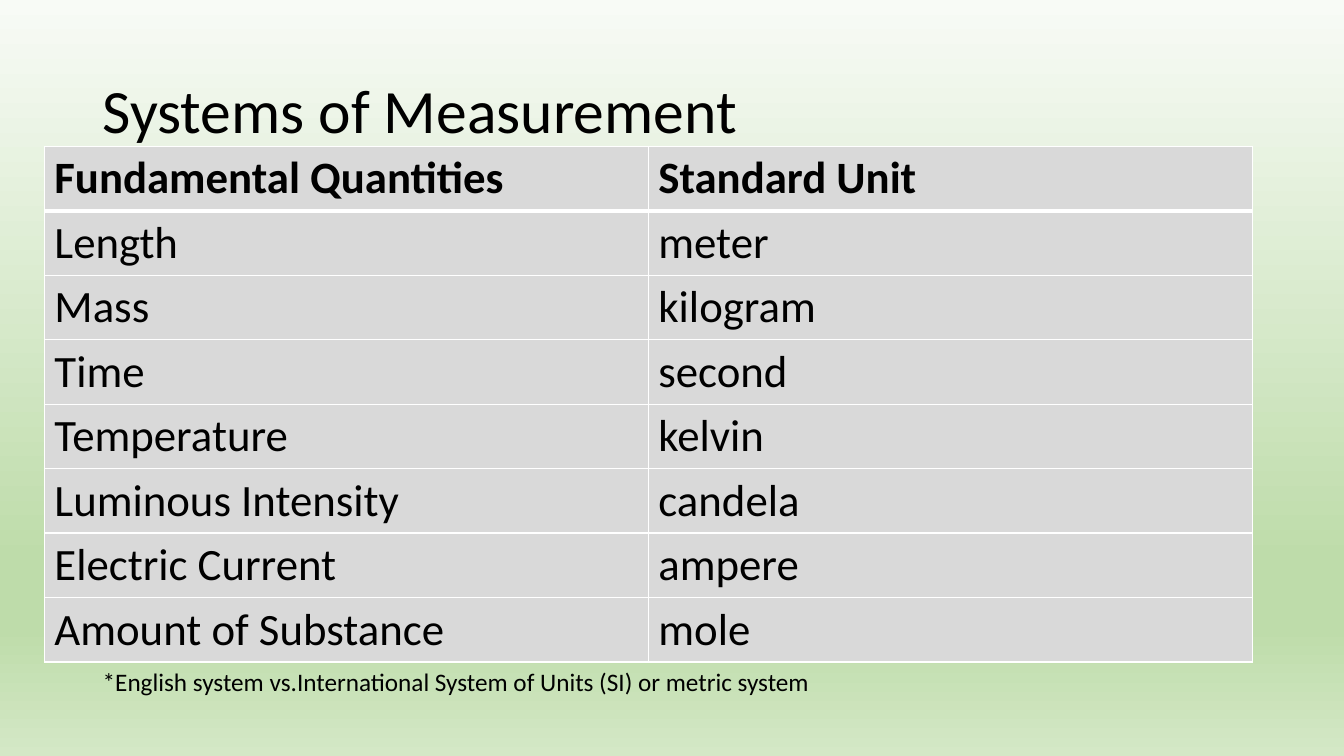
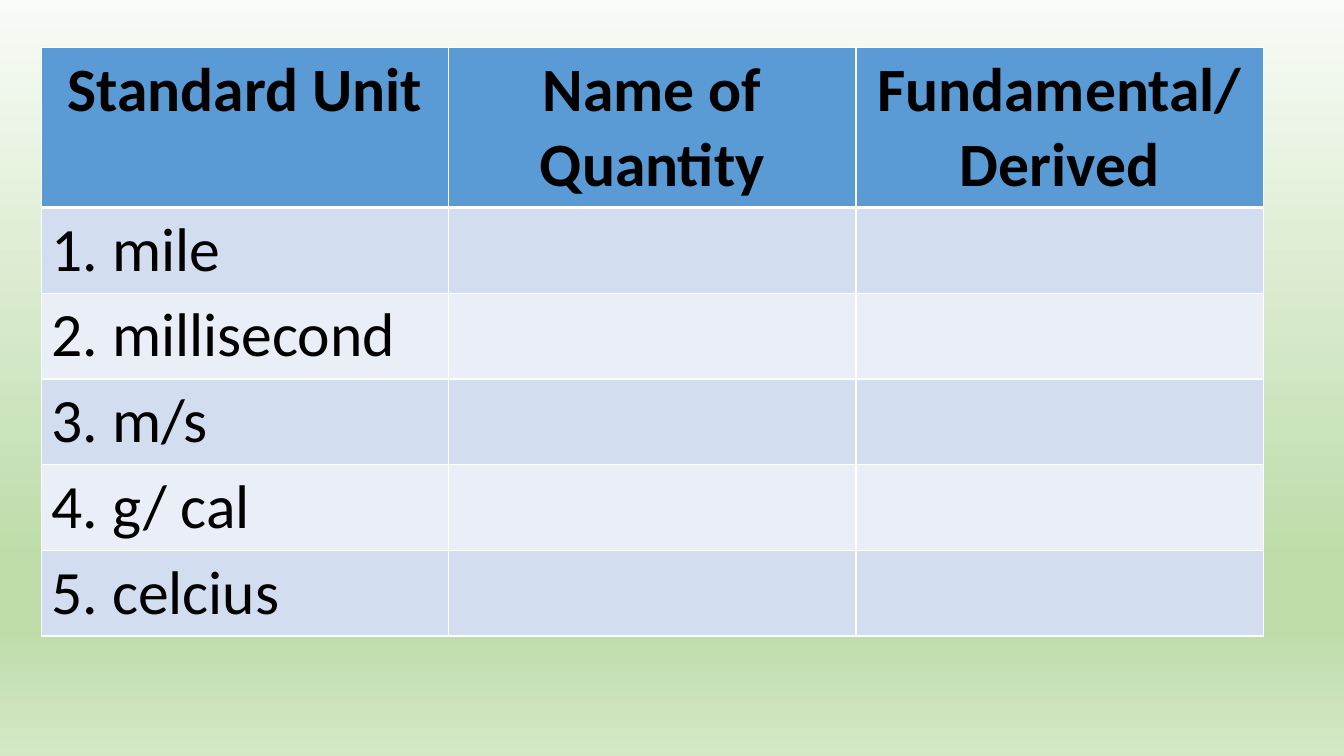
from copy import deepcopy
from dataclasses import dataclass

from lxml.etree import SubElement
from pptx import Presentation
from pptx.dml.color import RGBColor
from pptx.enum.text import MSO_ANCHOR, PP_ALIGN
from pptx.oxml.ns import qn
from pptx.slide import Slide
from pptx.table import _Cell
from pptx.text.text import TextFrame
from pptx.util import Inches, Pt

COLORS = {
    "text": "000000",
    "border": "FFFFFF",
    "gray": "D9D9D9",
    "header": "5B9BD5",
    "band_dark": "D2DEEF",
    "band_light": "EAEFF7",
}
BACKGROUND_STOPS = [(0, "F8FBF6"), (0.74, "BEDCAA"), (0.83, "BEDCAA"), (1, "D4E8C6")]
FONT = "Calibri"


@dataclass
class TableStyle:
    left: float
    top: float
    width: float
    header_height: float
    row_height: float
    size: int
    header_fill: str
    body_fills: tuple[str, ...]
    header_align: PP_ALIGN = PP_ALIGN.LEFT


UNITS_STYLE = TableStyle(0.44, 1.45, 11.98, 0.64, 0.64, 32, "gray", ("gray",))
EXERCISE_STYLE = TableStyle(
    0.41, 0.47, 12.12, 1.59, 0.85, 44, "header", ("band_dark", "band_light"), PP_ALIGN.CENTER
)

UNITS = [
    ("Fundamental Quantities", "Standard Unit"),
    ("Length", "meter"),
    ("Mass", "kilogram"),
    ("Time", "second"),
    ("Temperature", "kelvin"),
    ("Luminous Intensity", "candela"),
    ("Electric Current", "ampere"),
    ("Amount of Substance", "mole"),
]
EXERCISE = [
    ("Standard Unit", "Name of Quantity", "Fundamental/ Derived"),
    ("1. mile", "", ""),
    ("2. millisecond", "", ""),
    ("3. m/s", "", ""),
    ("4. g/ cal", "", ""),
    ("5. celcius", "", ""),
]


def set_background(presentation: Presentation) -> None:
    master = presentation.slide_master
    fill = master.background.fill
    fill.gradient()
    fill.gradient_angle = 270
    stop_list = master.element.find(".//" + qn("a:gsLst"))
    while len(stop_list) < len(BACKGROUND_STOPS):
        stop_list.append(deepcopy(stop_list[0]))
    for stop, (position, color) in zip(fill.gradient_stops, BACKGROUND_STOPS):
        stop.position = position
        stop.color.rgb = RGBColor.from_string(color)


def write_text(
    frame: TextFrame,
    text: str,
    *,
    size: int,
    bold: bool = False,
    align: PP_ALIGN = PP_ALIGN.LEFT,
    line_spacing: float = 1.0,
) -> None:
    paragraph = frame.paragraphs[0]
    paragraph.alignment = align
    paragraph.line_spacing = line_spacing
    run = paragraph.add_run()
    run.text = text
    run.font.name = FONT
    run.font.size = Pt(size)
    run.font.bold = bold
    run.font.color.rgb = RGBColor.from_string(COLORS["text"])


def add_text_frame(
    slide: Slide, left: float, top: float, width: float, height: float
) -> TextFrame:
    shape = slide.shapes.add_textbox(Inches(left), Inches(top), Inches(width), Inches(height))
    shape.text_frame.word_wrap = True
    return shape.text_frame


def set_borders(cell: _Cell, top: int, bottom: int) -> None:
    properties = cell._tc.get_or_add_tcPr()
    for side, width in (("L", 1), ("R", 1), ("T", top), ("B", bottom)):
        line = SubElement(properties, qn(f"a:ln{side}"), w=str(Pt(width)))
        solid = SubElement(line, qn("a:solidFill"))
        SubElement(solid, qn("a:srgbClr"), val=COLORS["border"])


def add_styled_table(slide: Slide, rows: list[tuple[str, ...]], style: TableStyle) -> None:
    height = style.header_height + style.row_height * (len(rows) - 1)
    table = slide.shapes.add_table(
        len(rows), len(rows[0]),
        Inches(style.left), Inches(style.top), Inches(style.width), Inches(height),
    ).table
    table.horz_banding = False
    for row_index, texts in enumerate(rows):
        is_header = row_index == 0
        table.rows[row_index].height = Inches(
            style.header_height if is_header else style.row_height
        )
        body_fill = style.body_fills[(row_index - 1) % len(style.body_fills)]
        fill_color = COLORS[style.header_fill if is_header else body_fill]
        for column_index, text in enumerate(texts):
            cell = table.cell(row_index, column_index)
            set_borders(cell, top=3 if row_index == 1 else 1, bottom=3 if is_header else 1)
            cell.fill.solid()
            cell.fill.fore_color.rgb = RGBColor.from_string(fill_color)
            if text:
                write_text(
                    cell.text_frame, text, size=style.size, bold=is_header,
                    align=style.header_align if is_header else PP_ALIGN.LEFT,
                )


def main() -> None:
    presentation = Presentation()
    presentation.slide_width = Inches(13.33)
    presentation.slide_height = Inches(7.5)
    set_background(presentation)
    blank = presentation.slide_layouts[6]

    units_slide = presentation.slides.add_slide(blank)
    title = add_text_frame(units_slide, 0.92, 0.4, 11.5, 1.45)
    title.vertical_anchor = MSO_ANCHOR.MIDDLE
    write_text(title, "Systems of Measurement", size=44, line_spacing=0.9)
    add_styled_table(units_slide, UNITS, UNITS_STYLE)
    footnote = add_text_frame(units_slide, 0.92, 6.56, 7.94, 0.4)
    write_text(
        footnote,
        "*English system vs.International System of Units (SI) or metric system",
        size=18,
    )

    exercise_slide = presentation.slides.add_slide(blank)
    add_styled_table(exercise_slide, EXERCISE, EXERCISE_STYLE)

    presentation.save("out.pptx")


if __name__ == "__main__":
    main()
